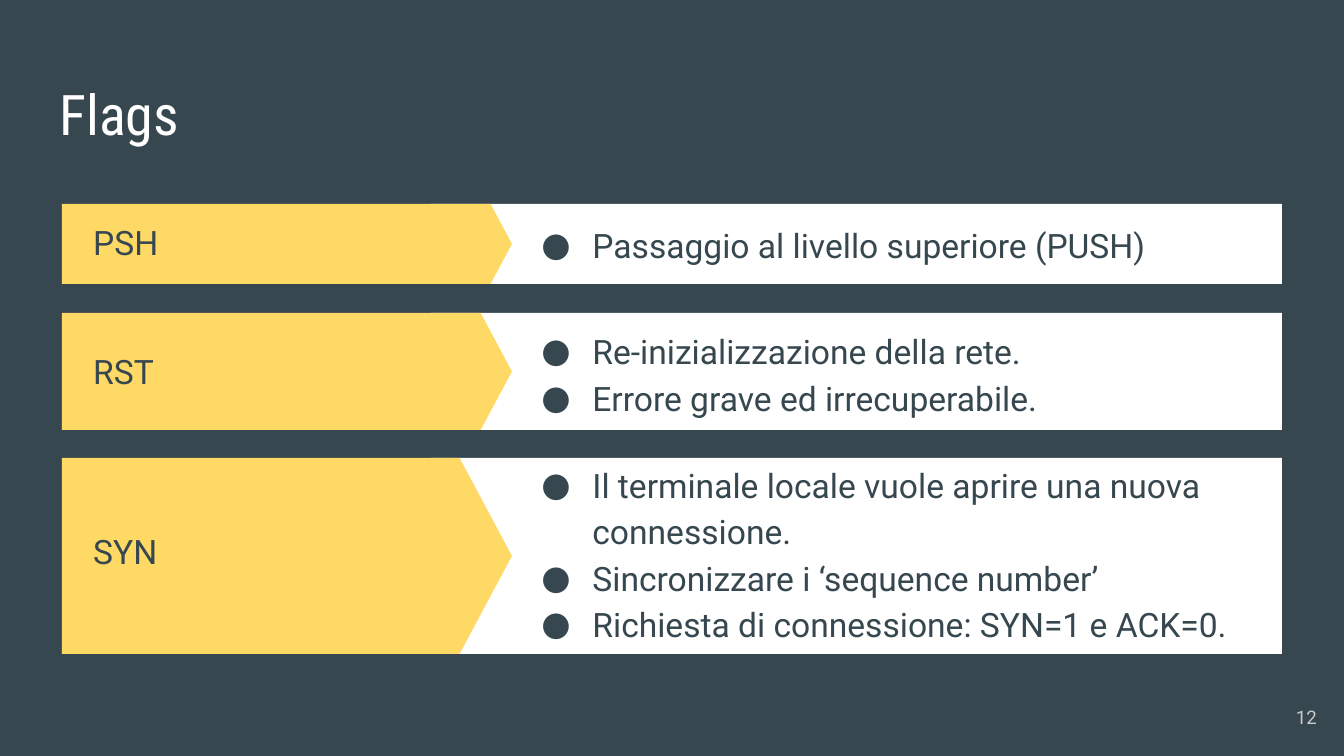
from lxml import etree
from pptx import Presentation
from pptx import util as u
from pptx.dml.color import RGBColor
from pptx.enum import shapes, text
from pptx.oxml.ns import qn

PX = u.Inches(10) / 1344
SLATE, YELLOW, WHITE, GREY = "37474F", "FFD966", "FFFFFF", "CACACA"


def px(length):
    return u.Emu(round(length * PX))


def rgb(color):
    return RGBColor.from_string(color)


def write(frame, lines, font="Roboto", size=18, color=SLATE, align=text.PP_ALIGN.LEFT,
          anchor=text.MSO_ANCHOR.MIDDLE, bullet=None):
    frame.word_wrap = True
    frame.auto_size = text.MSO_AUTO_SIZE.NONE
    frame.vertical_anchor = anchor
    frame.margin_left = frame.margin_right = u.Inches(0.1)
    frame.margin_top = frame.margin_bottom = u.Inches(0.1)
    for number, line in enumerate(lines):
        paragraph = frame.add_paragraph() if number else frame.paragraphs[0]
        paragraph.alignment = align
        run = paragraph.add_run()
        run.text = line
        run.font.name, run.font.size = font, u.Pt(size)
        run.font.color.rgb = rgb(color)
        if bullet:
            paragraph.line_spacing = 1.15
            props = paragraph._p.get_or_add_pPr()
            props.set("marL", str(u.Inches(0.5)))
            props.set("indent", str(u.Inches(-0.38)))
            bullet_color = etree.SubElement(props, qn("a:buClr"))
            etree.SubElement(bullet_color, qn("a:srgbClr"), val=color)
            etree.SubElement(props, qn("a:buFont"), typeface=font)
            etree.SubElement(props, qn("a:buChar"), char=bullet)


class FlagSlide:
    def __init__(self, deck, background):
        self.slide = deck.slides.add_slide(deck.slide_layouts[5])
        self.slide.background.fill.solid()
        self.slide.background.fill.fore_color.rgb = rgb(background)

    def title(self, wording, left, top, width, height):
        heading = self.slide.shapes.title
        heading.left, heading.top = px(left), px(top)
        heading.width, heading.height = px(width), px(height)
        write(heading.text_frame, [wording], font="Roboto Condensed", size=30,
              color=WHITE, anchor=text.MSO_ANCHOR.TOP)

    def label(self, lines, left, top, width, height, **style):
        box = self.slide.shapes.add_textbox(px(left), px(top), px(width), px(height))
        write(box.text_frame, lines, **style)

    def block(self, group, kind, color, left, top, width, height):
        shape = group.shapes.add_shape(kind, px(left), px(top), px(width), px(height))
        shape.shadow.inherit = False
        shape.fill.solid()
        shape.fill.fore_color.rgb = rgb(color)
        shape.line.fill.background()
        return shape

    def band(self, top, height):
        group = self.slide.shapes.add_group_shape()
        self.block(group, shapes.MSO_SHAPE.RECTANGLE, WHITE, 431, top, 851, height)
        arrow = self.block(group, shapes.MSO_SHAPE.PENTAGON, YELLOW, 62, top, 450, height)
        arrow.adjustments[0] = 0.267

    def flag(self, name, meanings, top, height, text_top):
        self.band(top, height)
        self.label([name], 80, text_top, 356, 117)
        self.label(meanings, 512, text_top, 751, 117, bullet="●")


def main():
    deck = Presentation()
    deck.slide_width, deck.slide_height = px(1344), px(756)
    page = FlagSlide(deck, SLATE)

    page.title("Flags", 46, 66, 1253, 85)

    # One band per flag: name, meanings, band top and height, text top
    flags = [
        ("PSH", ["Passaggio al livello superiore (PUSH)"], 204, 80, 184),
        ("RST", ["Re-inizializzazione della rete.",
                 "Errore grave ed irrecuperabile."], 313, 117, 313),
        ("SYN", ["Il terminale locale vuole aprire una nuova connessione.",
                 "Sincronizzare i ‘sequence number’",
                 "Richiesta di connessione: SYN=1 e ACK=0."], 458, 196, 493),
    ]
    for flag in flags:
        page.flag(*flag)

    # Page number
    page.label(["12"], 1249, 688, 81, 58, size=10, color=GREY, align=text.PP_ALIGN.RIGHT)

    deck.save("out.pptx")


if __name__ == "__main__":
    main()
